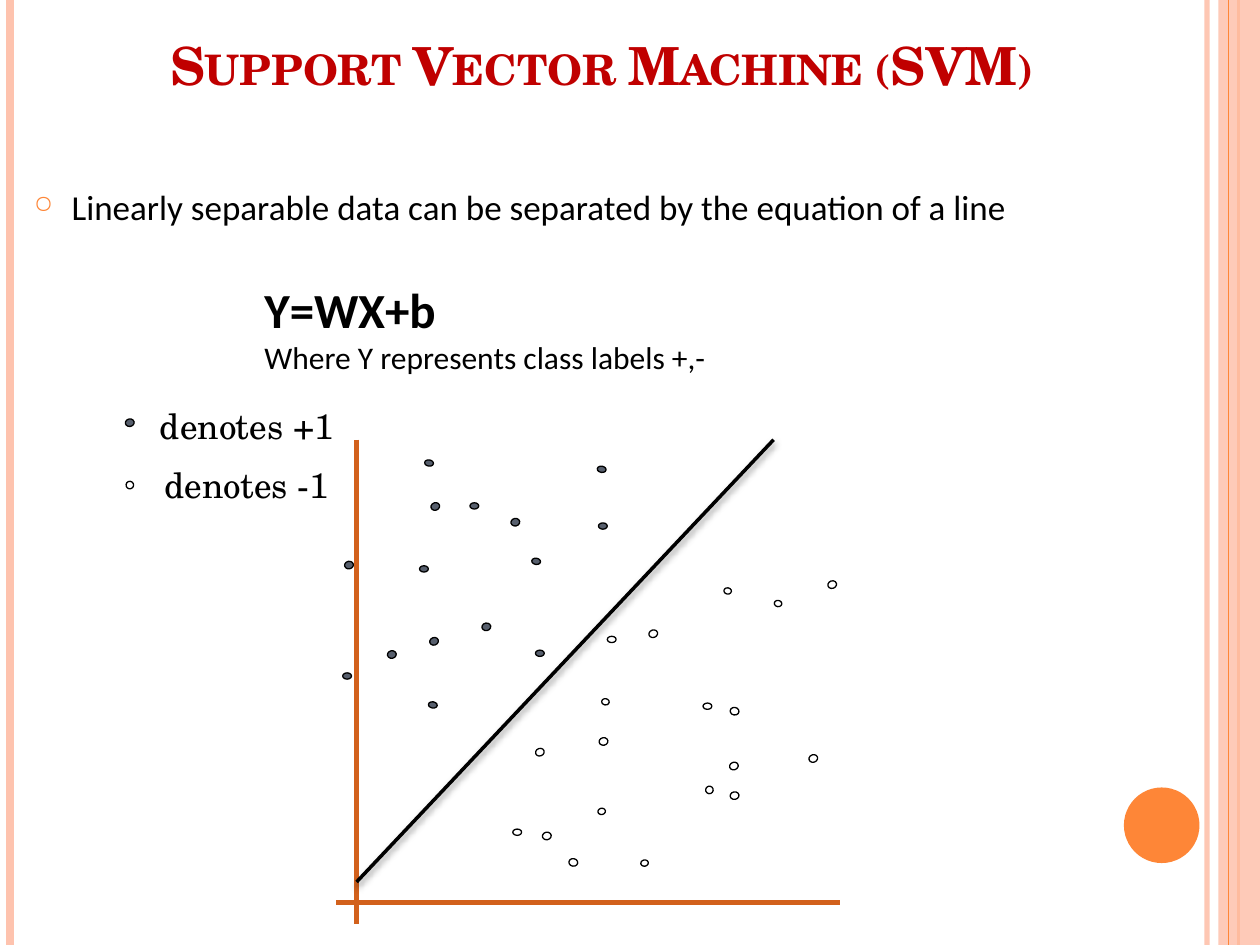
from dataclasses import dataclass
from typing import Optional

import pptx
import pptx.dml.color
import pptx.enum.shapes
import pptx.enum.text
import pptx.oxml
import pptx.oxml.ns
import pptx.util

COLUMNS, ROWS = 100, 75
COLORS = {
    "peach": "FEC3AE", "orange": "FE8637", "axis": "D2611C", "title": "C00000",
    "ink": "000000", "positive": "575F6D", "negative": "FFFFFF",
}
SERIF, SANS = "TeX Gyre Schola", "Calibri"
CENTER = pptx.enum.text.PP_ALIGN.CENTER
LEFT = pptx.enum.text.PP_ALIGN.LEFT

deck = pptx.Presentation()
deck.slide_width, deck.slide_height = pptx.util.Inches(10), pptx.util.Inches(7.5)
slide = deck.slides.add_slide(deck.slide_layouts[6])


@dataclass(frozen=True)
class Rule:
    start: tuple[float, float]
    end: tuple[float, float]
    color: str
    weight: float
    opacity: int = 100
    shadow: bool = False


@dataclass(frozen=True)
class Solid:
    left: float
    top: float
    width: float
    height: float
    color: str
    oval: bool = True
    opacity: int = 100
    rotation: float = 0
    outline: Optional[str] = None


@dataclass(frozen=True)
class Line:
    text: str
    size: float
    color: str
    font: str
    bold: bool = False
    align: pptx.enum.text.PP_ALIGN = LEFT
    before: float = 0


@dataclass(frozen=True)
class DotGroup:
    label: str
    rotation: float
    size: tuple[float, float]
    corners: tuple[tuple[float, float], ...]


def across(columns: float) -> int:
    return round(deck.slide_width * columns / COLUMNS)


def down(rows: float) -> int:
    return round(deck.slide_height * rows / ROWS)


def rgb(name: str) -> pptx.dml.color.RGBColor:
    return pptx.dml.color.RGBColor.from_string(COLORS[name])


def element(xml: str):
    return pptx.oxml.parse_xml(xml.replace(">", f" {pptx.oxml.ns.nsdecls('a')}>", 1))


def set_opacity(properties, percent: int) -> None:
    if percent < 100:
        color = next(properties.iter(pptx.oxml.ns.qn("a:srgbClr")))
        color.append(element(f'<a:alpha val="{percent * 1000}"></a:alpha>'))


def draw_rule(rule: Rule) -> None:
    connector = slide.shapes.add_connector(
        pptx.enum.shapes.MSO_CONNECTOR.STRAIGHT,
        across(rule.start[0]), down(rule.start[1]), across(rule.end[0]), down(rule.end[1]),
    )
    connector.line.color.rgb = rgb(rule.color)
    connector.line.width = pptx.util.Pt(rule.weight)
    properties = connector._element.spPr
    set_opacity(properties, rule.opacity)
    effect = (
        '<a:outerShdw blurRad="50800" dist="25400" dir="5400000" rotWithShape="0">'
        f'<a:srgbClr val="{COLORS["ink"]}"><a:alpha val="40000"/></a:srgbClr></a:outerShdw>'
    ) if rule.shadow else ""
    properties.append(element(f"<a:effectLst>{effect}</a:effectLst>"))


def draw_solid(solid: Solid) -> None:
    kinds = pptx.enum.shapes.MSO_SHAPE
    shape = slide.shapes.add_shape(
        kinds.OVAL if solid.oval else kinds.RECTANGLE,
        across(solid.left), down(solid.top), across(solid.width), down(solid.height),
    )
    shape.shadow.inherit = False
    shape.rotation = solid.rotation
    shape.fill.solid()
    shape.fill.fore_color.rgb = rgb(solid.color)
    set_opacity(shape._element.spPr, solid.opacity)
    if solid.outline:
        shape.line.color.rgb = rgb(solid.outline)
        shape.line.width = pptx.util.Pt(0.75)
    else:
        shape.line.fill.background()


def draw_text(left: float, top: float, width: float, height: float, lines: list[Line]):
    frame = slide.shapes.add_textbox(across(left), down(top), across(width), down(height)).text_frame
    frame.word_wrap = True
    for index, line in enumerate(lines):
        paragraph = frame.add_paragraph() if index else frame.paragraphs[0]
        paragraph.alignment = line.align
        if line.before:
            paragraph.space_before = pptx.util.Pt(line.before)
        run = paragraph.add_run()
        run.text = line.text
        run.font.name, run.font.size, run.font.bold = line.font, pptx.util.Pt(line.size), line.bold
        run.font.color.rgb = rgb(line.color)
    return frame


def draw_dots(group: DotGroup) -> None:
    for left, top in group.corners:
        draw_solid(Solid(left, top, *group.size, group.label, rotation=group.rotation, outline="ink"))


def draw_border() -> None:
    for column, color, weight, opacity in (
        (95.8, "peach", 3, 93), (0.8, "peach", 4.5, 100), (98.3, "orange", 1.5, 100),
    ):
        draw_rule(Rule((column, 0), (column, ROWS), color, weight, opacity))
    draw_solid(Solid(96.7, 0, 3.3, ROWS, "peach", oval=False, opacity=87))
    draw_rule(Rule((97.5, 0), (97.5, ROWS), "orange", 0.75))
    draw_solid(Solid(89.2, 62.5, 6, 6, "orange"))


def draw_title() -> None:
    title = draw_text(6.7, 2.5, 81.7, 5.2, [
        Line("Support Vector Machine (SVM)", 30, "title", SERIF, bold=True, align=CENTER),
    ])
    title.margin_left = title.margin_right = title.margin_bottom = 0
    title.margin_top = pptx.util.Inches(0.01)
    lettering = title.paragraphs[0].runs[0].font._element
    lettering.set("cap", "small")
    lettering.set("spc", "-10")


def draw_statement() -> None:
    statement = draw_text(1.7, 14.2, 94.6, 53.3, [
        Line("Linearly separable data can be separated by the equation of a line", 20, "ink", SANS),
    ])
    layout = statement.paragraphs[0]._p.get_or_add_pPr()
    layout.set("marL", str(across(3)))
    layout.set("indent", str(-across(3)))
    for bullet in (
        f'<a:buClr><a:srgbClr val="{COLORS["orange"]}"/></a:buClr>',
        '<a:buSzPct val="70000"></a:buSzPct>',
        '<a:buChar char="○"></a:buChar>',
    ):
        layout.append(element(bullet))


TILTED, STEEP, UPRIGHT = 341.4, 98.3, 79.6
DOTS = (
    DotGroup("positive", UPRIGHT, (0.6, 0.7), (
        (10, 33.2), (38.3, 49.4), (30.8, 51.6), (40.6, 41.1), (27.4, 44.5))),
    DotGroup("negative", STEEP, (0.6, 0.6), ((10, 38.2), (56, 62.4))),
    DotGroup("positive", 0, (0.7, 0.5), (
        (27.2, 53.4), (47.5, 41.5), (37.3, 39.9), (42.5, 51.6), (33.3, 44.9))),
    DotGroup("negative", 0, (0.7, 0.5), ((40.7, 65.8), (48.2, 50.5), (55.8, 55.8))),
    DotGroup("positive", TILTED, (0.7, 0.6), ((34.2, 39.9), (34.1, 50.6))),
    DotGroup("negative", TILTED, (0.7, 0.6), (
        (42.5, 59.4), (65.7, 46.1), (57.9, 60.5), (51.5, 50), (64.2, 59.9))),
    DotGroup("positive", STEEP, (0.5, 0.7), ((42.3, 44.2), (34.1, 55.6), (47.5, 36.9), (33.8, 36.4))),
    DotGroup("negative", STEEP, (0.5, 0.6), ((47.8, 55.4), (61.5, 47.6), (57.5, 46.6))),
    DotGroup("negative", STEEP, (0.6, 0.7), ((45.2, 68.1), (58, 56.1))),
    DotGroup("negative", UPRIGHT, (0.5, 0.6), ((50.9, 68.2), (47.5, 64.1))),
    DotGroup("negative", UPRIGHT, (0.6, 0.7), ((47.6, 58.5), (43.1, 66), (58, 62.8))),
)


def main() -> None:
    draw_border()
    draw_text(9.2, 31.6, 20.8, 9.3, [
        Line("denotes +1", 20, "ink", SERIF, align=CENTER),
        Line("denotes -1", 20, "ink", SERIF, align=CENTER, before=10),
    ])
    draw_rule(Rule((28.3, 34.9), (28.3, 73.3), "axis", 3))
    draw_rule(Rule((26.7, 71.6), (66.7, 71.6), "axis", 3))
    for group in DOTS:
        draw_dots(group)
    draw_title()
    draw_statement()
    draw_text(20, 21.7, 54.2, 11.8, [
        Line("Y=WX+b", 28, "ink", SANS, bold=True),
        Line("Where Y represents class labels +,-", 18, "ink", SANS),
    ])
    draw_rule(Rule((28.3, 70), (61.4, 34.9), "ink", 2, shadow=True))
    deck.save("out.pptx")


if __name__ == "__main__":
    main()
